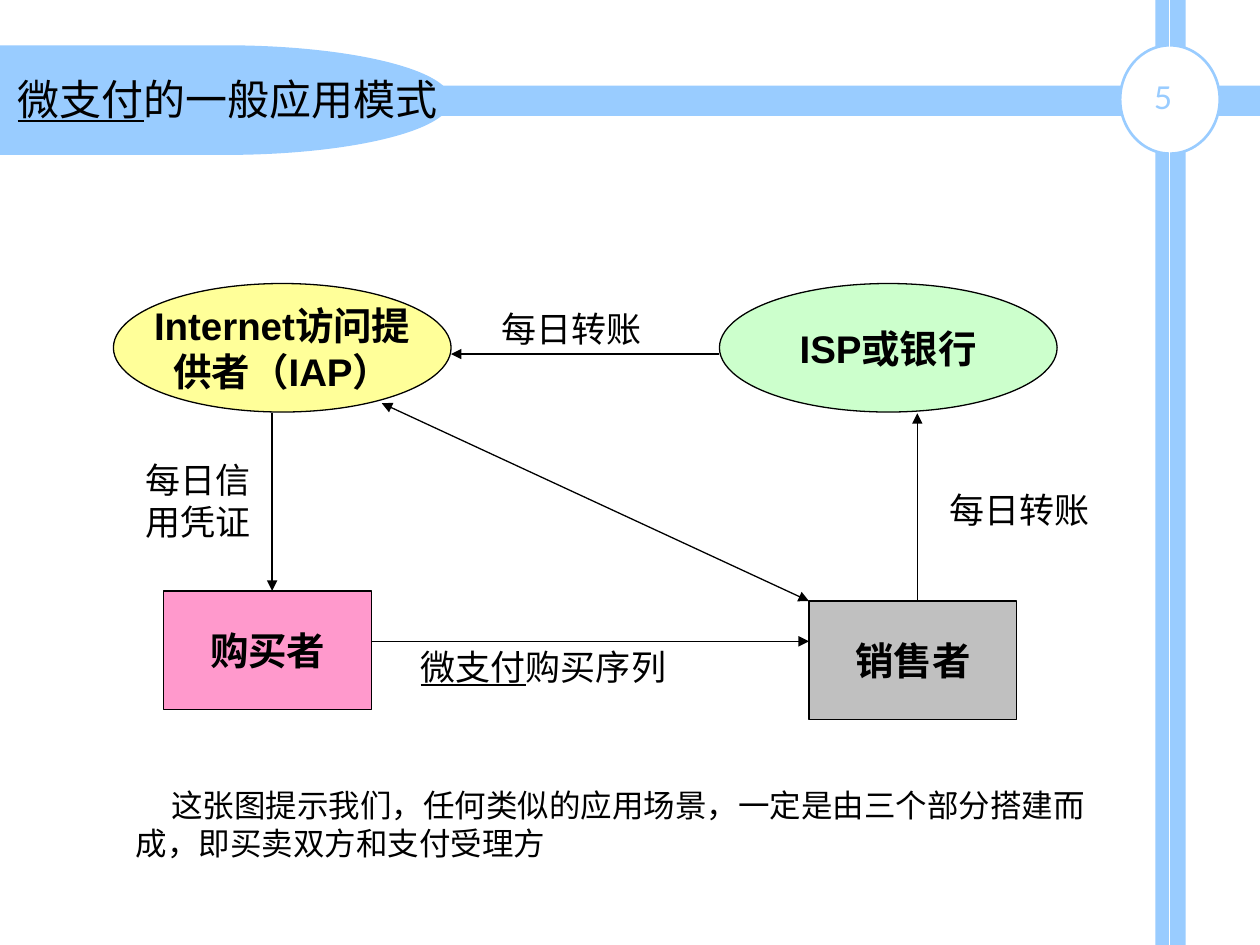
from lxml.etree import SubElement
from pptx import Presentation
from pptx.dml.color import RGBColor
from pptx.enum.shapes import MSO_CONNECTOR, MSO_SHAPE
from pptx.enum.text import MSO_ANCHOR, MSO_AUTO_SIZE, PP_ALIGN
from pptx.oxml.ns import qn
from pptx.util import Inches, Pt

BLUE, WHITE, BLACK = "99CCFF", "FFFFFF", "000000"
CJK_FONT = "Noto Sans CJK SC"


def color(hex_value):
    return RGBColor.from_string(hex_value)


def place(shape, left, top, width, height):
    shape.left, shape.top = Inches(left), Inches(top)
    shape.width, shape.height = Inches(width), Inches(height)


def format_text(shape, size, font, hex_value=BLACK, bold=False, align=PP_ALIGN.LEFT,
                anchor=MSO_ANCHOR.TOP, wrap=True):
    frame = shape.text_frame
    frame.auto_size = MSO_AUTO_SIZE.NONE
    frame.word_wrap = wrap
    frame.vertical_anchor = anchor
    for paragraph in frame.paragraphs:
        paragraph.alignment = align
        for span in paragraph.runs:
            span.font.size = Pt(size)
            span.font.name = font
            span.font.bold = bold
            span.font.color.rgb = color(hex_value)
            east_asian = SubElement(span.font._element, qn("a:ea"))
            east_asian.set("typeface", CJK_FONT)


def write_key_term(shape, term, rest):
    """Write an underlined term followed by plain text."""
    paragraph = shape.text_frame.paragraphs[0]
    for text, underlined in ((term, True), (rest, False)):
        span = paragraph.add_run()
        span.text = text
        span.font.underline = underlined


def add_text_box(page, bounds, text=""):
    box = page.shapes.add_textbox(*map(Inches, bounds))
    box.text_frame.text = text
    return box


def add_filled_shape(page, kind, bounds, fill, line=None, line_width=0.75):
    shape = page.shapes.add_shape(kind, *map(Inches, bounds))
    shape.shadow.inherit = False
    shape.fill.solid()
    shape.fill.fore_color.rgb = color(fill)
    if line:
        shape.line.color.rgb = color(line)
        shape.line.width = Pt(line_width)
    else:
        shape.line.fill.background()
    return shape


def add_party(page, kind, bounds, fill, text):
    party = add_filled_shape(page, kind, bounds, fill, BLACK)
    party.text_frame.text = text
    format_text(party, 22, "Arial", bold=True, align=PP_ALIGN.CENTER,
                anchor=MSO_ANCHOR.MIDDLE, wrap=False)


def add_line(page, start, end, hex_value=BLACK, arrow_ends=()):
    line = page.shapes.add_connector(MSO_CONNECTOR.STRAIGHT, *map(Inches, start + end))
    line.line.color.rgb = color(hex_value)
    line.line.width = Pt(0.75)
    outline = line.line._get_or_add_ln()
    for arrow_end in arrow_ends:
        SubElement(outline, qn(f"a:{arrow_end}")).set("type", "triangle")
    SubElement(line._element.spPr, qn("a:effectLst"))


def add_frame(page):
    add_filled_shape(page, MSO_SHAPE.FLOWCHART_DELAY, (0, 0.36, 3.58, 0.87), BLUE)
    add_filled_shape(page, MSO_SHAPE.RECTANGLE, (2.36, 0.68, 7.64, 0.24), BLUE)
    add_filled_shape(page, MSO_SHAPE.RECTANGLE, (9.17, 0, 0.24, 7.5), BLUE)
    add_filled_shape(page, MSO_SHAPE.OVAL, (8.89, 0.36, 0.79, 0.86), WHITE, BLUE, 1.5)
    add_line(page, (9.28, 0), (9.28, 7.5), WHITE)
    number = add_text_box(page, (9.06, 0.57, 0.43, 0.4), "5")
    format_text(number, 18, "Lato", BLUE)


def add_title(page):
    title = page.shapes.title
    place(title, 0.04, 0.53, 3.7, 0.5)
    write_key_term(title, "微支付", "的一般应用模式")
    format_text(title, 24, CJK_FONT)
    page.shapes._spTree.append(title._element)  # in front of the blue band


def add_parties(page):
    oval, rectangle = MSO_SHAPE.OVAL, MSO_SHAPE.RECTANGLE
    add_party(page, oval, (0.9, 2.25, 2.68, 1.02), "FFFF99", "Internet访问提\n供者（IAP）")
    add_party(page, oval, (5.71, 2.25, 2.68, 1.02), "CCFFCC", "ISP或银行")
    add_party(page, rectangle, (1.3, 4.69, 1.65, 0.94), "FF99CC", "购买者")
    add_party(page, rectangle, (6.42, 4.77, 1.65, 0.94), "C0C0C0", "销售者")


def add_flows(page):
    for start, end in (
        ((2.16, 3.28), (2.16, 4.69)),
        ((5.71, 2.81), (3.58, 2.81)),
        ((2.95, 5.09), (6.42, 5.09)),
        ((7.28, 4.77), (7.28, 3.28)),
    ):
        add_line(page, start, end, arrow_ends=("tailEnd",))
    add_line(page, (3.03, 3.2), (6.42, 4.77), arrow_ends=("headEnd", "tailEnd"))

    labels = [
        add_text_box(page, (3.88, 2.39, 1.31, 0.44), "每日转账"),
        add_text_box(page, (1.06, 3.59, 1.03, 0.77), "每日信\n用凭证"),
        add_text_box(page, (7.44, 3.83, 1.31, 0.44), "每日转账"),
    ]
    purchase = add_text_box(page, (3.24, 5.07, 2.15, 0.44))
    write_key_term(purchase, "微支付", "购买序列")
    for label in labels + [purchase]:
        format_text(label, 20, "Arial", wrap=False)


def add_remark(page):
    remark = add_text_box(
        page, (0.98, 6.19, 7.8, 0.7),
        "这张图提示我们，任何类似的应用场景，一定是由三个部分搭建而成，即买卖双方和支付受理方")
    format_text(remark, 18, CJK_FONT)
    properties = remark.text_frame.paragraphs[0]._p.get_or_add_pPr()
    properties.set("indent", str(Inches(0.28)))


def main():
    deck = Presentation()
    deck.slide_width, deck.slide_height = Inches(10), Inches(7.5)
    page = deck.slides.add_slide(deck.slide_layouts[5])
    add_frame(page)
    add_title(page)
    add_parties(page)
    add_flows(page)
    add_remark(page)
    deck.save("out.pptx")


if __name__ == "__main__":
    main()
